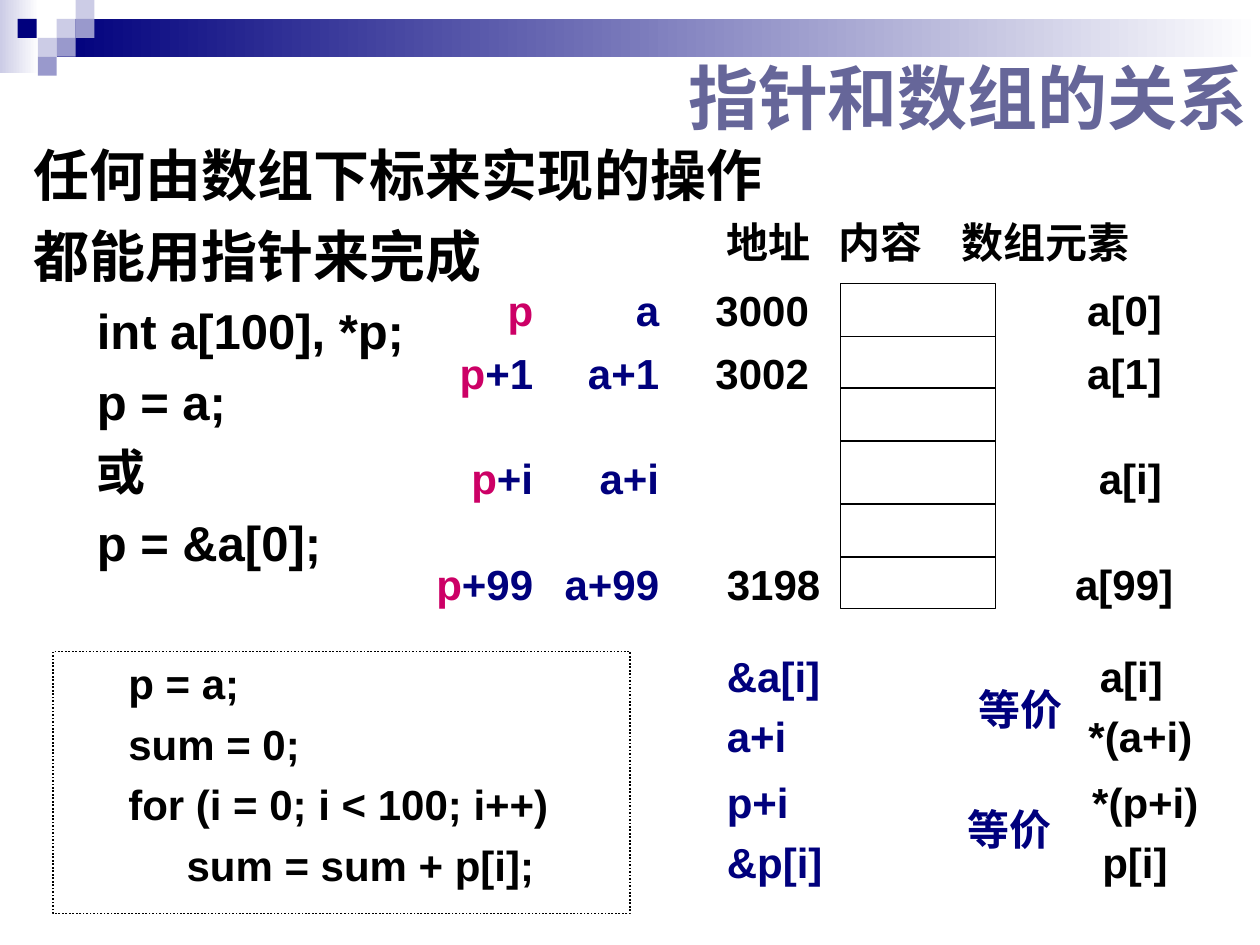
from dataclasses import dataclass

from lxml import etree
from pptx import Presentation
from pptx.dml.color import RGBColor
from pptx.enum.dml import MSO_LINE
from pptx.enum.shapes import MSO_CONNECTOR, MSO_SHAPE
from pptx.enum.text import MSO_ANCHOR, PP_ALIGN
from pptx.oxml.ns import qn
from pptx.util import Inches, Pt

RECTANGLE = MSO_SHAPE.RECTANGLE
STRAIGHT = MSO_CONNECTOR.STRAIGHT
DOTTED = MSO_LINE.ROUND_DOT
TOP, MIDDLE, BOTTOM = MSO_ANCHOR.TOP, MSO_ANCHOR.MIDDLE, MSO_ANCHOR.BOTTOM
LEFT, RIGHT = PP_ALIGN.LEFT, PP_ALIGN.RIGHT


@dataclass(frozen=True)
class Theme:
    black: RGBColor = RGBColor.from_string("000000")
    white: RGBColor = RGBColor.from_string("FFFFFF")
    navy: RGBColor = RGBColor.from_string("00007D")
    pale: RGBColor = RGBColor.from_string("CCCCE6")
    lilac: RGBColor = RGBColor.from_string("9999CC")
    slate: RGBColor = RGBColor.from_string("666699")
    pink: RGBColor = RGBColor.from_string("CC0066")
    font: str = "Arial"
    header_font: str = "Times New Roman"
    title: int = 40
    lead: int = 32
    code: int = 28
    label: int = 24


theme = Theme()
deck = Presentation()
deck.slide_width, deck.slide_height = Inches(10), Inches(7.5)
page = deck.slides.add_slide(deck.slide_layouts[6])


def add_rectangle(left, top, width, height):
    shape = page.shapes.add_shape(
        RECTANGLE, Inches(left), Inches(top), Inches(width), Inches(height))
    shape.shadow.inherit = False
    shape.fill.background()
    shape.line.fill.background()
    return shape


def add_text(left, top, width, height, lines, size=theme.label, color=theme.black,
             align=LEFT, anchor=MIDDLE, font=theme.font):
    box = page.shapes.add_textbox(Inches(left), Inches(top), Inches(width), Inches(height))
    frame = box.text_frame
    frame.word_wrap = True
    frame.vertical_anchor = anchor
    for index, spans in enumerate(lines):
        para = frame.paragraphs[0] if index == 0 else frame.add_paragraph()
        para.alignment = align
        para.font.name, para.font.size, para.font.bold = font, Pt(size), True
        para.font.color.rgb = color
        if index:
            para.space_before = Pt(round(size * 0.24, 1))
        for words, span_color in spans:
            span = para.add_run()
            span.text = words
            if span_color != color:
                span.font.color.rgb = span_color
    return box


for left, width, top, height, start in [
    (0, 0.31, 0, 0.58, theme.pale),
    (0.45, 9.55, 0.15, 0.3, theme.navy),
]:
    band = add_rectangle(left, top, width, height)
    band.fill.gradient()
    band.fill.gradient_angle = 0
    for stop, color in zip(band.fill.gradient_stops, (start, theme.white)):
        stop.color.rgb = color

for left, top, color in [
    (0.45, 0.15, theme.pale), (0.6, 0, theme.pale), (0.6, 0.15, theme.lilac),
    (0.3, 0.3, theme.pale), (0.14, 0.15, theme.navy), (0.45, 0.3, theme.lilac),
    (0.3, 0.45, theme.lilac),
]:
    square = add_rectangle(left, top, 0.15, 0.15)
    square.fill.solid()
    square.fill.fore_color.rgb = color

add_text(4.4, 0.36, 5.6, 0.79, [[("指针和数组的关系", theme.slate)]],
         theme.title, theme.slate, RIGHT, BOTTOM)

lead_lines = ["任何由数组下标来实现的操作", "都能用指针来完成"]
pointer_lines = ["int a[100], *p;", "p = a;", "或", "p = &a[0];"]
body = add_text(0.17, 1.07, 9.01, 3.86,
                [[(line, theme.black)] for line in lead_lines + pointer_lines],
                theme.lead, anchor=TOP)
for para in body.text_frame.paragraphs[len(lead_lines):]:
    para.font.size = Pt(theme.code)
    para.space_before = Pt(6.7)
    para._p.get_or_add_pPr().set("marL", str(Inches(0.5)))

memory_left, memory_top, memory_width, memory_height = 6.67, 2.25, 1.23, 2.58
memory = add_rectangle(memory_left, memory_top, memory_width, memory_height)
memory.line.color.rgb = theme.black
memory.line.width = Pt(0.75)
for divider_top in (2.67, 3.08, 3.5, 4, 4.42):
    divider = page.shapes.add_connector(
        STRAIGHT, Inches(memory_left), Inches(divider_top),
        Inches(memory_left + memory_width), Inches(divider_top))
    divider.line.color.rgb = theme.black
    divider.line.width = Pt(0.75)
    etree.SubElement(divider._element.spPr, qn("a:effectLst"))

for left, width, heading in [(5.67, 0.9, "地址"), (6.56, 0.9, "内容"), (7.53, 1.6, "数组元素")]:
    add_text(left, 1.67, width, 0.5, [[(heading, theme.black)]], font=theme.header_font)

for top, offset, address, element, shift in [
    (2.25, "", "3000", "a[0]", 0),
    (2.75, "+1", "3002", "a[1]", 0),
    (3.58, "+i", "", "a[i]", 0),
    (4.42, "+99", "3198", "a[99]", 0.09),
]:
    pointer = [("p", theme.pink)] + ([(offset, theme.navy)] if offset else [])
    add_text(3.23, top, 1.1, 0.42, [pointer], color=theme.navy, align=RIGHT)
    add_text(4.33, top, 1, 0.42, [[("a" + offset, theme.navy)]],
             color=theme.navy, align=RIGHT)
    if address:
        add_text(5.58 + shift, top, 1.05, 0.42, [[(address, theme.black)]])
    add_text(8.22 + shift, top, 1.1, 0.42, [[(element, theme.black)]], align=RIGHT)

for top, pairs in [
    (5.11, [("&a[i]", "a[i]", 2.96), ("a+i", "*(a+i)", 2.87)]),
    (6.11, [("p+i", "*(p+i)", 2.9), ("&p[i]", "p[i]", 2.98)]),
]:
    box = add_text(5.67, top, 4.08, 1.25, [], anchor=TOP)
    for index, (address, value, tab_stop) in enumerate(pairs):
        frame = box.text_frame
        para = frame.paragraphs[0] if index == 0 else frame.add_paragraph()
        if index:
            para.space_before = Pt(5.8)
        tabs = etree.SubElement(para._p.get_or_add_pPr(), qn("a:tabLst"))
        etree.SubElement(tabs, qn("a:tab"), pos=str(Inches(tab_stop)), algn="l")
        para.font.name, para.font.size, para.font.bold = theme.font, Pt(theme.label), True
        for words, color in [(address + "\t", theme.navy), (value, theme.black)]:
            span = para.add_run()
            span.text = words
            span.font.color.rgb = color

code_lines = ["p = a;", "sum = 0;", "for (i = 0; i < 100; i++)", "     sum = sum + p[i];"]
code = add_text(0.42, 5.17, 4.58, 2.08, [[(line, theme.black)] for line in code_lines],
                anchor=TOP)
code.line.color.rgb = theme.black
code.line.width = Pt(1)
code.line.dash_style = DOTTED
for para in code.text_frame.paragraphs:
    para._p.get_or_add_pPr().set("marL", str(Inches(0.5)))

for left, top, width in [(7.67, 5.42, 0.96), (7.58, 6.37, 1.04)]:
    equal = add_text(left, top, width, 0.46, [[("等价", theme.navy)]],
                     color=theme.navy, anchor=TOP)
    equal.text_frame.paragraphs[0].line_spacing = 0.9

deck.save("out.pptx")
